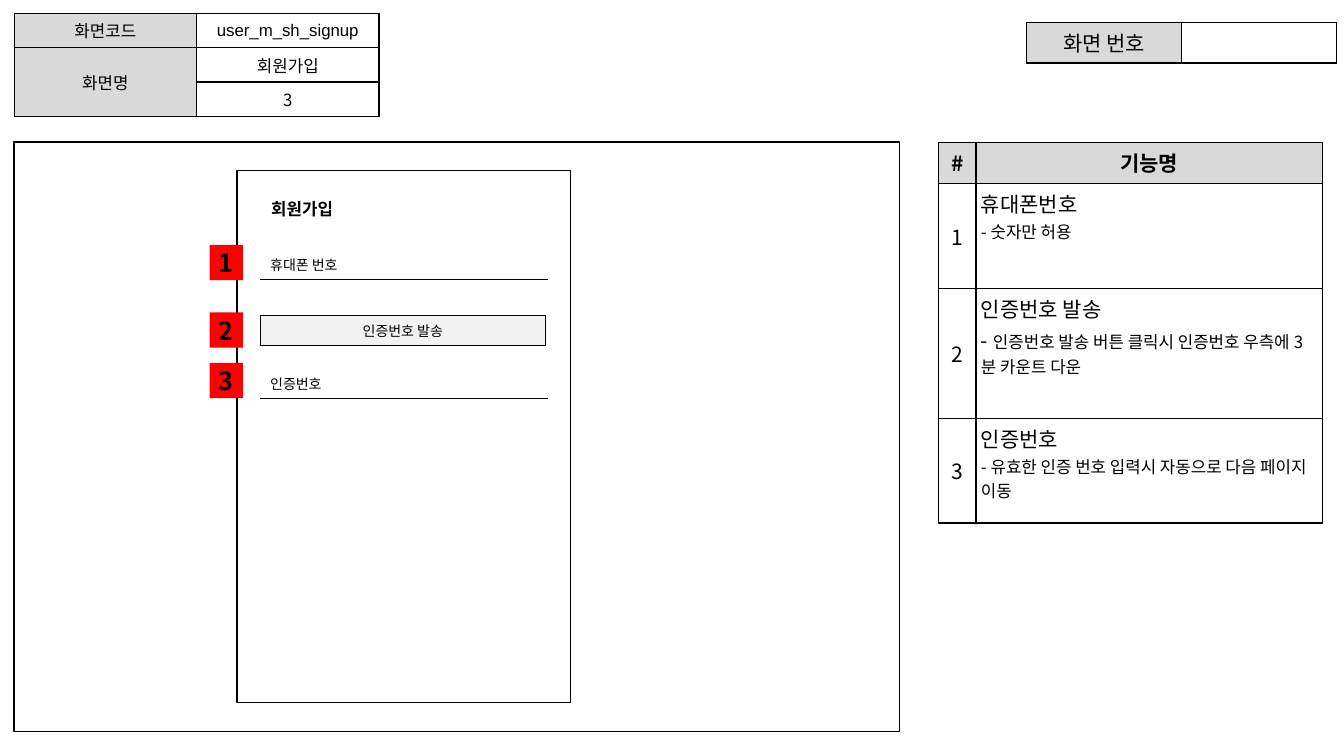
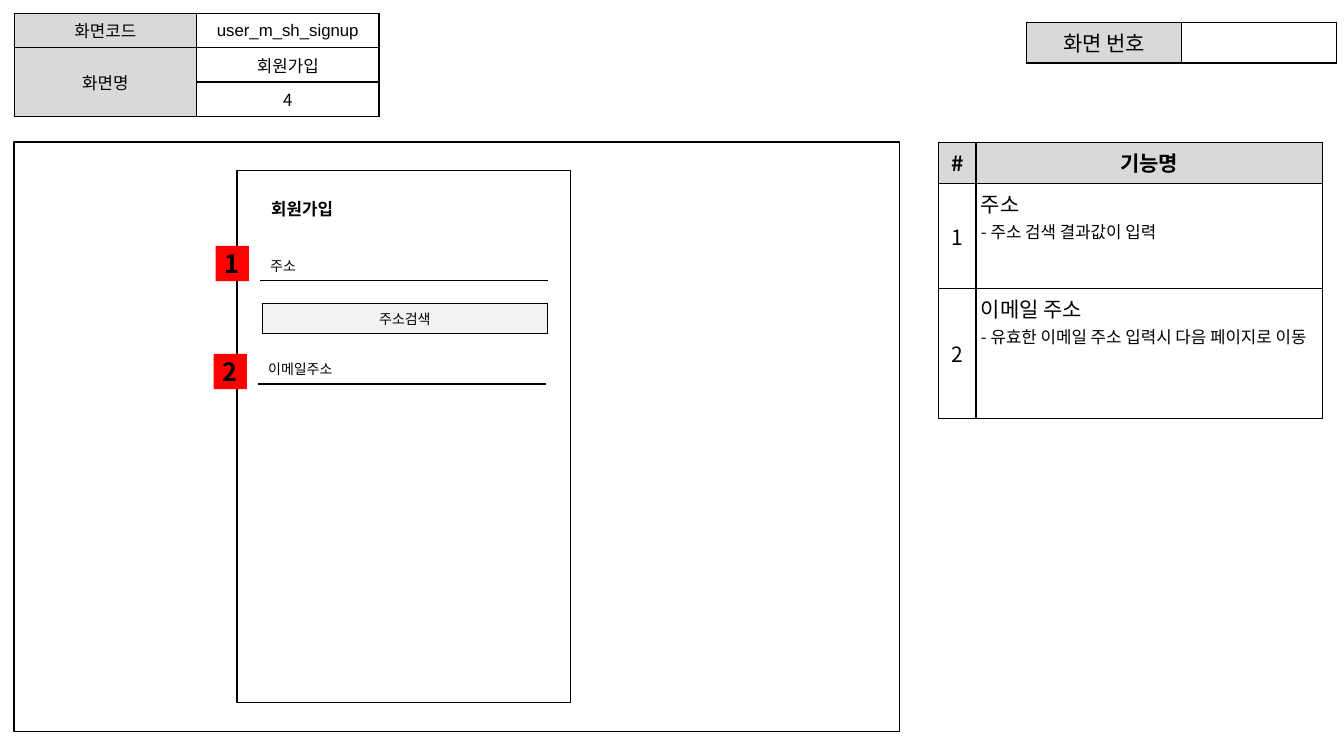
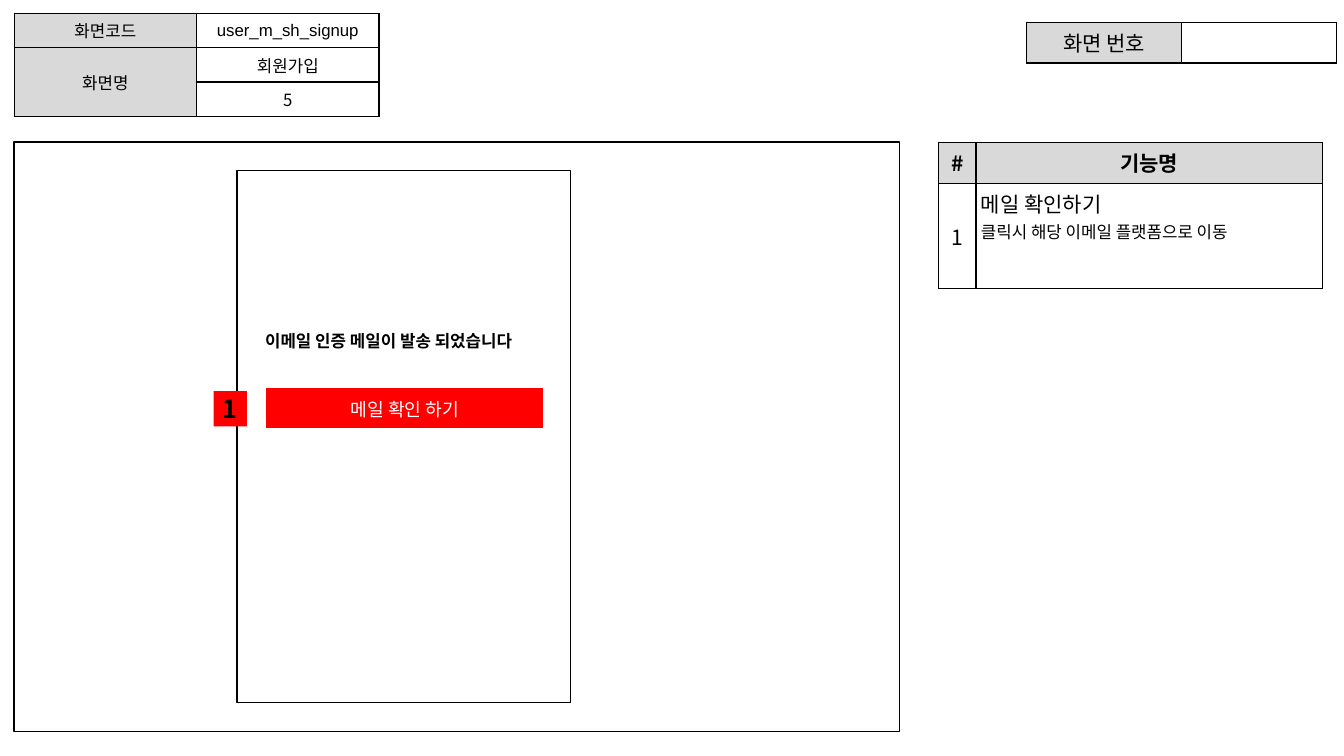
import dataclasses

import lxml.etree
import pptx
import pptx.dml.color
import pptx.enum.shapes
import pptx.enum.text
import pptx.oxml.ns
import pptx.util

Inches = pptx.util.Inches
Pt = pptx.util.Pt
qn = pptx.oxml.ns.qn
Color = pptx.dml.color.RGBColor.from_string
LEFT = pptx.enum.text.PP_ALIGN.LEFT
CENTER = pptx.enum.text.PP_ALIGN.CENTER
TOP = pptx.enum.text.MSO_ANCHOR.TOP
MIDDLE = pptx.enum.text.MSO_ANCHOR.MIDDLE


@dataclasses.dataclass(frozen=True)
class Theme:
    font: str = "Noto Sans CJK KR"
    code_font: str = "Arial"
    ink: str = "000000"
    paper: str = "FFFFFF"
    label: str = "D9D9D9"
    button: str = "F2F2F2"
    accent: str = "FF0000"
    heading: int = 15
    body: int = 12
    field: int = 10
    action: int = 13
    badge: int = 18
    rule: int = 1


theme = Theme()


def write(holder, frame, lines, color=theme.ink, bold=False, align=CENTER,
          anchor=MIDDLE, font=theme.font, inset=(0.05, 0.05)):
    """Fill frame with (text, size) lines; holder, a cell or a frame, carries the margins."""
    holder.margin_left = holder.margin_right = Inches(inset[0])
    holder.margin_top = holder.margin_bottom = Inches(inset[1])
    holder.vertical_anchor = anchor
    for index, (text, size) in enumerate(lines):
        para = frame.add_paragraph() if index else frame.paragraphs[0]
        para.alignment = align
        para.add_run().text = text
        para.font.size = Pt(size)
        para.font.bold = bold
        para.font.color.rgb = Color(color)
        para.font.name = font
        defaults = para._p.pPr.find(qn("a:defRPr"))
        lxml.etree.SubElement(defaults, qn("a:ea")).set("typeface", font)


def add_grid(page, left, top, widths, heights, edges="LRTB", fill=theme.paper):
    """Add an evenly filled table that draws only the named cell edges."""
    table = page.shapes.add_table(
        len(heights), len(widths), Inches(left), Inches(top),
        Inches(sum(widths)), Inches(sum(heights))).table
    table.first_row = table.horz_banding = False
    for column, width in zip(table.columns, widths):
        column.width = Inches(width)
    for row, height in zip(table.rows, heights):
        row.height = Inches(height)
    for cell in table.iter_cells():
        cell.fill.solid()
        cell.fill.fore_color.rgb = Color(fill)
        properties = cell._tc.get_or_add_tcPr()
        for index, edge in enumerate("LRTB"):
            line = lxml.etree.Element(qn("a:ln" + edge), w=str(Pt(theme.rule)))
            if edge in edges:
                paint = lxml.etree.SubElement(line, qn("a:solidFill"))
                lxml.etree.SubElement(paint, qn("a:srgbClr")).set("val", theme.ink)
            else:
                lxml.etree.SubElement(line, qn("a:noFill"))
            properties.insert(index, line)
    return table


# Titles are (text, left, top, width); fields and buttons (text, left, top);
# badges (left, top); features (height, name, lead of the detail, detail).
screens = [
    {
        "number": "3",
        "title": ("회원가입", 2.64, 1.85, 1.42),
        "fields": [("휴대폰 번호", 2.58, 2.47), ("인증번호", 2.58, 3.65)],
        "button": ("인증번호 발송", 2.58, 3.13),
        "badges": [(2.08, 2.43), (2.08, 3.1), (2.08, 3.6)],
        "features": [
            (1.04, "휴대폰번호", "", "- 숫자만 허용"),
            (1.29, "인증번호 발송", "- ",
             "인증번호 발송 버튼 클릭시 인증번호 우측에 3분 카운트 다운"),
            (1.04, "인증번호", "",
             "- 유효한 인증 번호 입력시 자동으로 다음 페이지 이동"),
        ],
    },
    {
        "number": "4",
        "title": ("회원가입", 2.64, 1.85, 1.42),
        "fields": [("주소", 2.58, 2.48), ("이메일주소", 2.56, 3.51)],
        "button": ("주소검색", 2.6, 3.01),
        "badges": [(2.14, 2.44), (2.12, 3.51)],
        "features": [
            (1.04, "주소", "", "- 주소 검색 결과값이 입력"),
            (1.29, "이메일 주소", "",
             "- 유효한 이메일 주소 입력시 다음 페이지로 이동"),
        ],
    },
    {
        "number": "5",
        "title": ("이메일 인증 메일이 발송 되었습니다", 2.58, 3.16, 3.03),
        "fields": [],
        "action": ("메일 확인 하기", 2.64, 3.85),
        "badges": [(2.12, 3.88)],
        "features": [
            (1.04, "메일 확인하기", "", "클릭시 해당 이메일 플랫폼으로 이동"),
        ],
    },
]

deck = pptx.Presentation()
deck.slide_width = Inches(13.33)
deck.slide_height = Inches(7.5)

for screen in screens:
    page = deck.slides.add_slide(deck.slide_layouts[6])

    # Screen number
    number_table = add_grid(page, 10.18, 0.22, [1.54, 1.54], [0.35])
    cell = number_table.cell(0, 0)
    cell.fill.fore_color.rgb = Color(theme.label)
    write(cell, cell.text_frame, [("화면 번호", theme.heading)])

    # Screen code and name
    name_table = add_grid(page, 0.14, 0.13, [1.81, 1.81], [0.3] * 3)
    name_table.cell(1, 0).merge(name_table.cell(2, 0))
    for row, text in enumerate(["화면코드", "화면명"]):
        cell = name_table.cell(row, 0)
        cell.fill.fore_color.rgb = Color(theme.label)
        write(cell, cell.text_frame, [(text, theme.body)])
    cell = name_table.cell(0, 1)
    write(cell, cell.text_frame, [("user_m_sh_signup", theme.body)],
          font=theme.code_font, inset=(0.01, 0.01))
    for row, text in enumerate(["회원가입", screen["number"]], start=1):
        cell = name_table.cell(row, 1)
        write(cell, cell.text_frame, [(text, theme.body)])

    # Feature list
    heights = [0.41] + [feature[0] for feature in screen["features"]]
    feature_table = add_grid(page, 9.31, 1.41, [0.37, 3.44], heights)
    for column, text in enumerate(["#", "기능명"]):
        cell = feature_table.cell(0, column)
        cell.fill.fore_color.rgb = Color(theme.label)
        write(cell, cell.text_frame, [(text, theme.heading)], bold=True)
    for row, (_, name, lead, detail) in enumerate(screen["features"], start=1):
        cell = feature_table.cell(row, 0)
        write(cell, cell.text_frame, [(str(row), theme.heading)])
        cell = feature_table.cell(row, 1)
        write(cell, cell.text_frame,
              [(name, theme.heading), (lead or detail, theme.body)],
              align=LEFT, anchor=TOP)
        if lead:
            para = cell.text_frame.paragraphs[1]
            para.runs[0].font.size = Pt(theme.heading)
            para.add_run().text = detail

    # Canvas, phone, title and badges
    title, left, top, width = screen["title"]
    rectangles = [
        (0.14, 1.41, 8.78, 5.85, theme.paper, theme.ink, "", theme.body, LEFT),
        (2.35, 1.69, 3.31, 5.28, theme.paper, theme.ink, "", theme.body, LEFT),
        (left, top, width, 0.45, theme.paper, theme.paper, title, theme.body, LEFT),
    ]
    for index, (left, top) in enumerate(screen["badges"], start=1):
        rectangles.append((left, top, 0.33, 0.35, theme.accent, None,
                           str(index), theme.badge, CENTER))
    for left, top, width, height, fill, outline, text, size, align in rectangles:
        box = page.shapes.add_shape(
            pptx.enum.shapes.MSO_SHAPE.RECTANGLE,
            Inches(left), Inches(top), Inches(width), Inches(height))
        box.shadow.inherit = False
        box.fill.solid()
        box.fill.fore_color.rgb = Color(fill)
        if outline:
            box.line.color.rgb = Color(outline)
            box.line.width = Pt(theme.rule)
        else:
            box.line.fill.background()
        if text:
            write(box.text_frame, box.text_frame, [(text, size)],
                  bold=True, align=align)

    # Input fields and buttons
    for text, left, top in screen["fields"]:
        cell = add_grid(page, left, top, [2.86], [0.27], edges="B").cell(0, 0)
        write(cell, cell.text_frame, [(text, theme.field)],
              align=LEFT, anchor=TOP, inset=(0.1, 0.05))
    if "button" in screen:
        text, left, top = screen["button"]
        cell = add_grid(page, left, top, [2.83], [0.29], fill=theme.button).cell(0, 0)
        write(cell, cell.text_frame, [(text, theme.field)], anchor=TOP)
    if "action" in screen:
        text, left, top = screen["action"]
        cell = add_grid(page, left, top, [2.75], [0.4], edges="",
                        fill=theme.accent).cell(0, 0)
        write(cell, cell.text_frame, [(text, theme.action)],
              color=theme.paper, inset=(0.1, 0.04))

deck.save("out.pptx")
